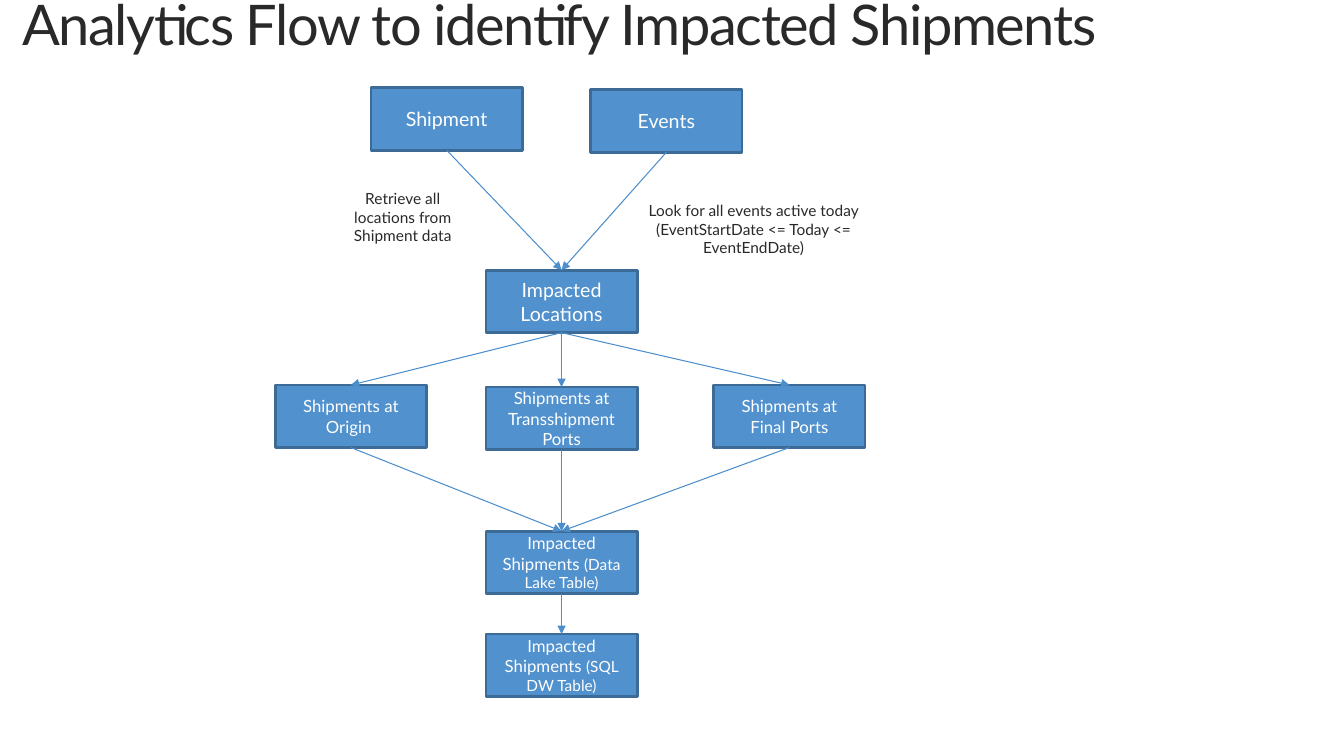
from dataclasses import dataclass

from lxml.etree import SubElement
from pptx import Presentation
from pptx.dml.color import RGBColor as RGB
from pptx.enum.shapes import MSO_CONNECTOR as Link, MSO_SHAPE as Shape
from pptx.enum.text import MSO_ANCHOR as Anchor, MSO_AUTO_SIZE as Fit, PP_ALIGN as Align
from pptx.oxml.ns import qn
from pptx.util import Inches, Pt


@dataclass(frozen=True)
class Theme:
    font: str = "Lato"
    ink: RGB = RGB(0x29, 0x29, 0x29)
    white: RGB = RGB(0xFF, 0xFF, 0xFF)
    box: RGB = RGB(0x51, 0x91, 0xCD)
    edge: RGB = RGB(0x3C, 0x6B, 0x98)
    arrow: RGB = RGB(0x4C, 0x8E, 0xCC)
    title: int = 40
    large: int = 14
    step: int = 12
    note: int = 11


theme = Theme()


def write(frame, text, size, color=theme.ink, align=Align.CENTER,
          anchor=Anchor.TOP, fit=Fit.NONE, extra=""):
    """Fill a text frame; extra is a closing part in note size."""
    frame.word_wrap = True
    frame.auto_size = fit
    frame.vertical_anchor = anchor
    para = frame.paragraphs[0]
    para.alignment = align
    for part, points in ((text, size), (extra, theme.note)):
        if part:
            run = para.add_run()
            run.text = part
            run.font.name = theme.font
            run.font.size = Pt(points)
            run.font.color.rgb = color
    return para


deck = Presentation()
deck.slide_width, deck.slide_height = Inches(13.33), Inches(7.5)
slide = deck.slides.add_slide(deck.slide_layouts[5])
shapes = slide.shapes

# Title
title = shapes.title
title.left, title.top = Inches(0.22), Inches(-0.03)
title.width, title.height = Inches(11.89), Inches(0.98)
frame = title.text_frame
frame.margin_left = frame.margin_right = frame.margin_top = frame.margin_bottom = 0
para = write(frame, "Analytics Flow to identify Impacted Shipments", theme.title,
             align=Align.LEFT, fit=Fit.SHAPE_TO_FIT_TEXT)
para.line_spacing = 0.9
para.runs[0].font._element.set("spc", "-100")

# Notes beside the first arrows
notes = [
    (3.28, 1.83, 1.43, 0.66, "Retrieve all locations from Shipment data"),
    (6, 1.95, 2.95, 0.47,
     "Look for all events active today (EventStartDate <= Today <= EventEndDate)"),
]
for left, top, width, height, text in notes:
    note = shapes.add_textbox(Inches(left), Inches(top), Inches(width), Inches(height))
    write(note.text_frame, text, theme.note, fit=Fit.SHAPE_TO_FIT_TEXT)

# Boxes: key, left, top, size, text, closing part
mid = 4.82
steps = [
    ("ship", 3.68, 0.87, theme.large, "Shipment", ""),
    ("event", 5.86, 0.89, theme.large, "Events", ""),
    ("place", mid, 2.68, theme.large, "Impacted Locations", ""),
    ("origin", 2.73, 3.82, theme.step, "Shipments at Origin ", ""),
    ("trans", mid, 3.84, theme.step, "Shipments at Transshipment Ports", ""),
    ("final", 7.08, 3.82, theme.step, "Shipments at Final Ports", ""),
    ("lake", mid, 5.27, theme.step, "Impacted Shipments ", "(Data Lake Table)"),
    ("store", mid, 6.29, theme.step, "Impacted Shipments ", "(SQL DW Table)"),
]
boxes = {}
for key, left, top, size, text, extra in steps:
    box = shapes.add_shape(Shape.RECTANGLE, Inches(left), Inches(top),
                           Inches(1.5), Inches(0.62))
    box.shadow.inherit = False
    box.fill.solid()
    box.fill.fore_color.rgb = theme.box
    box.line.color.rgb = theme.edge
    box.line.width = Pt(2)
    write(box.text_frame, text, size, color=theme.white, anchor=Anchor.MIDDLE, extra=extra)
    boxes[key] = box

# Arrows from the bottom of one box to the top of the next
flow = [
    ("ship", "place"), ("event", "place"),
    ("place", "origin"), ("place", "trans"), ("place", "final"),
    ("origin", "lake"), ("trans", "lake"), ("final", "lake"),
    ("lake", "store"),
]
for start, end in flow:
    arrow = shapes.add_connector(Link.STRAIGHT, 0, 0, 0, 0)
    arrow.begin_connect(boxes[start], 2)
    arrow.end_connect(boxes[end], 0)
    arrow.line.color.rgb = theme.arrow
    arrow.line.width = Pt(0.75)
    SubElement(arrow.line._get_or_add_ln(), qn("a:tailEnd"), type="triangle")
    SubElement(arrow._element.spPr, qn("a:effectLst"))

deck.save("out.pptx")
